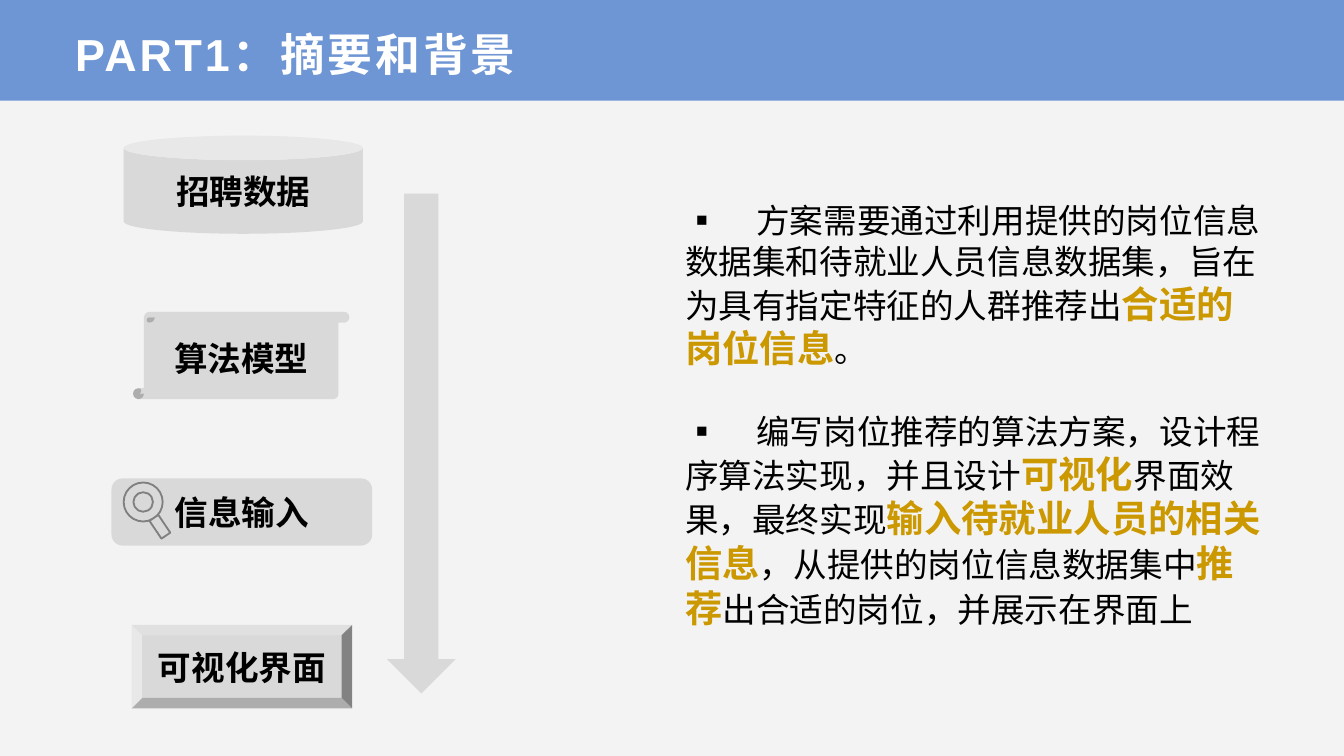
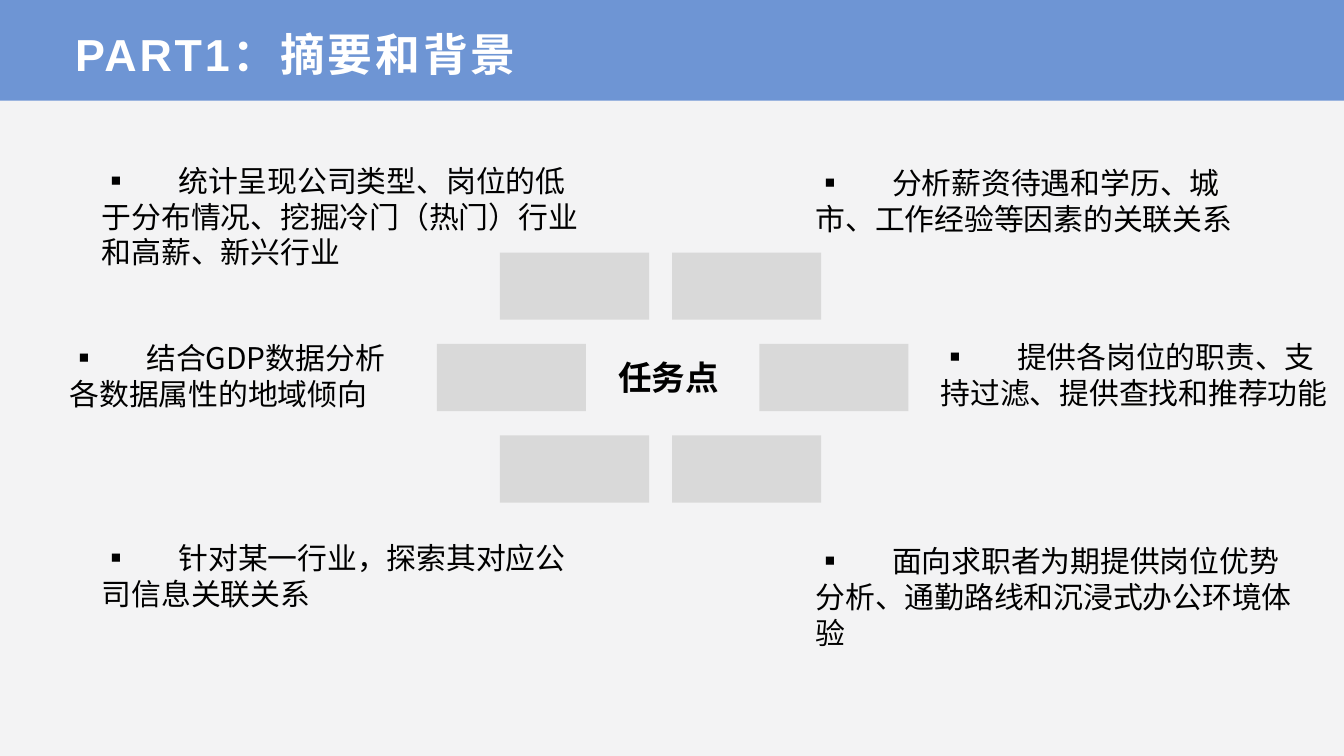
from dataclasses import dataclass

from pptx import Presentation
from pptx.dml.color import RGBColor
from pptx.enum.shapes import MSO_SHAPE
from pptx.enum.text import MSO_ANCHOR, MSO_AUTO_SIZE, PP_ALIGN
from pptx.oxml import parse_xml
from pptx.oxml.ns import nsdecls
from pptx.util import Inches, Pt

RECTANGLE = MSO_SHAPE.RECTANGLE
CAN = MSO_SHAPE.CAN
SCROLL = MSO_SHAPE.VERTICAL_SCROLL
ALTERNATE_PROCESS = MSO_SHAPE.FLOWCHART_ALTERNATE_PROCESS
BEVEL = MSO_SHAPE.BEVEL
DONUT = MSO_SHAPE.DONUT
DOWN_ARROW = MSO_SHAPE.DOWN_ARROW
CENTER, LEFT = PP_ALIGN.CENTER, PP_ALIGN.LEFT
TOP, MIDDLE, BOTTOM = MSO_ANCHOR.TOP, MSO_ANCHOR.MIDDLE, MSO_ANCHOR.BOTTOM
FIT_SHAPE, NO_FIT = MSO_AUTO_SIZE.SHAPE_TO_FIT_TEXT, MSO_AUTO_SIZE.NONE


@dataclass(frozen=True)
class Theme:
    page: str = "F3F3F4"
    band: str = "6E95D4"
    block: str = "D9D9D9"
    outline: str = "808080"
    ink: str = "000000"
    highlight: str = "CC9800"
    white: str = "FFFFFF"
    title_font: str = "Arial"
    body_font: str = "Noto Sans CJK SC"
    title_size: int = 24
    highlight_size: int = 20
    body_size: int = 18
    task_size: int = 16


THEME = Theme()
TITLE = "PART1：摘要和背景"
MARKER = "▪︎\t"

# Spans marked True are highlighted.
SUMMARY = [
    [("方案需要通过利用提供的岗位信息数据集和待就业人员信息数据集，旨在为具有指定特征的人群推荐出", False),
     ("合适的岗位信息", True),
     ("。", False)],
    [("编写岗位推荐的算法方案，设计程序算法实现，并且设计", False),
     ("可视化", True),
     ("界面效果，最终实现", False),
     ("输入待就业人员的相关信息", True),
     ("，从提供的岗位信息数据集中", False),
     ("推荐", True),
     ("出合适的岗位，并展示在界面上", False)],
]

STAGES = [
    (CAN, "招聘数据", (0.92, 1.01, 1.78, 0.73)),
    (SCROLL, "算法模型", (0.99, 2.32, 1.61, 0.65)),
    (ALTERNATE_PROCESS, "信息输入", (0.83, 3.56, 1.94, 0.5)),
    (BEVEL, "可视化界面", (0.98, 4.65, 1.64, 0.62)),
]

TASKS = [
    ("统计呈现公司类型、岗位的低于分布情况、挖掘冷门（热门）行业和高薪、新兴行业", (0.66, 1.16, 3.83, 0.91)),
    ("结合GDP数据分析各数据属性的地域倾向", (0.42, 2.48, 2.69, 0.64)),
    ("针对某一行业，探索其对应公司信息关联关系", (0.66, 3.97, 3.69, 0.64)),
    ("分析薪资待遇和学历、城市、工作经验等因素的关联关系", (5.97, 1.18, 3.35, 0.64)),
    ("提供各岗位的职责、支持过滤、提供查找和推荐功能", (6.9, 2.47, 3.19, 0.64)),
    ("面向求职者为期提供岗位优势分析、通勤路线和沉浸式办公环境体验", (5.97, 3.99, 3.83, 0.64)),
]

BLOCK_COLUMNS = [(3.72, 5), (3.25, 5.65), (3.72, 5)]
BLOCK_TOP, BLOCK_PITCH = 1.88, 0.68
BLOCK_WIDTH, BLOCK_HEIGHT = 1.11, 0.5


def color(value):
    return RGBColor.from_string(value)


def write(para, text, size=THEME.body_size, font=THEME.body_font,
          ink=THEME.ink, bold=False, spacing=None):
    """Append one formatted span to a paragraph."""
    span = para.add_run()
    span.text = text
    span.font.size = Pt(size)
    span.font.name = font
    span.font.bold = bold
    span.font.color.rgb = color(ink)
    properties = span._r.get_or_add_rPr()
    if spacing is not None:
        properties.set("spc", str(round(spacing * 100)))
    latin = properties.find("{*}latin")
    latin.addnext(parse_xml(
        f'<a:ea {nsdecls("a")} typeface="{THEME.body_font}"/>'))


def set_text_tab(para, position):
    """Align the text after the square marker at one tab stop."""
    para._p.get_or_add_pPr().append(parse_xml(
        f'<a:tabLst {nsdecls("a")}><a:tab pos="{Inches(position)}" algn="l"/></a:tabLst>'))


def add_block(page, kind, bounds, fill=THEME.block, outline=None, label=None):
    block = page.shapes.add_shape(kind, *map(Inches, bounds))
    block.shadow.inherit = False
    block.fill.solid()
    block.fill.fore_color.rgb = color(fill)
    if outline:
        block.line.color.rgb = color(outline)
        block.line.width = Pt(1)
    else:
        block.line.fill.background()
    if label:
        block.text_frame.vertical_anchor = MIDDLE
        para = block.text_frame.paragraphs[0]
        para.alignment = CENTER
        write(para, label, bold=True)
    return block


def add_text_frame(page, bounds, anchor=TOP, fit=FIT_SHAPE):
    frame = page.shapes.add_textbox(*map(Inches, bounds)).text_frame
    frame.word_wrap = True
    frame.auto_size = fit
    frame.vertical_anchor = anchor
    frame.paragraphs[0].alignment = LEFT
    return frame


def add_page(deck):
    """Add a page with the shared background, band and title."""
    page = deck.slides.add_slide(deck.slide_layouts[6])
    page.background.fill.solid()
    page.background.fill.fore_color.rgb = color(THEME.page)
    add_block(page, RECTANGLE, (0, 0, 10, 0.75), fill=THEME.band)
    frame = add_text_frame(page, (0.5, 0.13, 9, 0.5), anchor=BOTTOM, fit=NO_FIT)
    frame.margin_left = frame.margin_right = Inches(0.06)
    frame.margin_top = frame.margin_bottom = Inches(0.03)
    write(frame.paragraphs[0], TITLE, size=THEME.title_size,
          font=THEME.title_font, ink=THEME.white, bold=True, spacing=1.5)
    return page


def add_magnifier(page):
    add_block(page, DONUT, (0.92, 3.59, 0.29, 0.29), outline=THEME.outline)
    handle = add_block(page, RECTANGLE, (1.11, 3.88, 0.16, 0.08),
                       outline=THEME.outline)
    handle.rotation = 56


def add_summary(page):
    frame = add_text_frame(page, (5, 1.44, 4.5, 3.33))
    for index, spans in enumerate(SUMMARY):
        para = frame.add_paragraph() if index else frame.paragraphs[0]
        set_text_tab(para, 0.53)
        if index:
            para.space_before = Pt(21.5)
        write(para, MARKER)
        for text, highlighted in spans:
            if highlighted:
                write(para, text, size=THEME.highlight_size,
                      ink=THEME.highlight, bold=True)
            else:
                write(para, text)


def add_task(page, text, bounds):
    para = add_text_frame(page, bounds).paragraphs[0]
    set_text_tab(para, 0.57)
    write(para, MARKER + text, size=THEME.task_size)


def build_background_page(deck):
    page = add_page(deck)
    add_summary(page)
    for kind, label, bounds in STAGES:
        add_block(page, kind, bounds, label=label)
    add_magnifier(page)
    add_block(page, DOWN_ARROW, (2.88, 1.44, 0.51, 3.72))


def build_tasks_page(deck):
    page = add_page(deck)
    for row, columns in enumerate(BLOCK_COLUMNS):
        for left in columns:
            top = BLOCK_TOP + row * BLOCK_PITCH
            add_block(page, RECTANGLE, (left, top, BLOCK_WIDTH, BLOCK_HEIGHT))
    center = add_text_frame(page, (4.5, 2.61, 1.01, 0.4))
    write(center.paragraphs[0], "任务点", bold=True)
    for text, bounds in TASKS:
        add_task(page, text, bounds)


def main():
    deck = Presentation()
    deck.slide_width = Inches(10)
    deck.slide_height = Inches(10) * 9 // 16
    build_background_page(deck)
    build_tasks_page(deck)
    deck.save("out.pptx")


if __name__ == "__main__":
    main()
